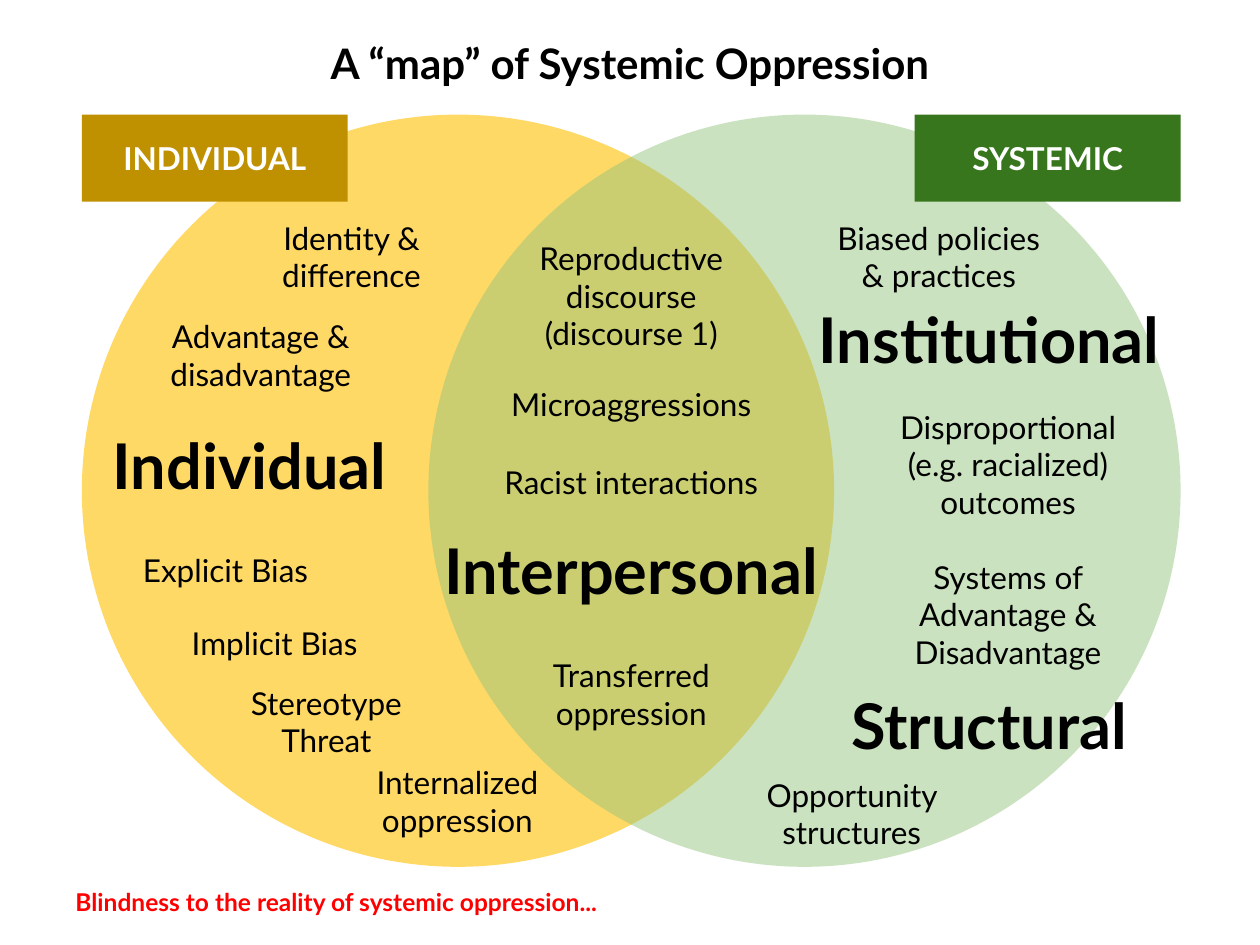
from lxml.etree import SubElement
from pptx import Presentation
from pptx.dml.color import RGBColor
from pptx.enum.shapes import MSO_SHAPE as SHAPE
from pptx.enum.text import MSO_ANCHOR as ANCHOR, MSO_AUTO_SIZE as FIT, PP_ALIGN as ALIGN
from pptx.oxml.ns import qn
from pptx.util import Inches, Pt

FONT = "Lato"
TITLE = "A “map” of Systemic Oppression"
FOOTER = "Blindness to the reality of systemic oppression..."
LEFT, RIGHT, TOP = 0.65, 9.37, 0.91
DIAMETER, TAG_W, TAG_H = 5.97, 2.11, 0.69
ROW_H, NARROW, MIDDLE, WIDE = 0.51, 1.92, 2.54, 3.7

CIRCLES = [(LEFT, "FFD966", 100), (RIGHT - DIAMETER, "93C47D", 49)]
TAGS = [("INDIVIDUAL", LEFT, "BF9000"), ("SYSTEMIC", RIGHT - TAG_W, "38761D")]
# label groups: width, size, bold, then (text, centre x, top)
LABELS = [
    (NARROW, 18, False, [
        ("Identity & difference", 2.79, 1.78),
        ("Advantage & disadvantage", 2.07, 2.56),
        ("Explicit Bias", 1.79, 4.27),
        ("Implicit Bias", 2.18, 4.85),
        ("Stereotype Threat", 2.59, 5.47),
        ("Internalized oppression", 3.63, 6.1),
        ("Reproductive discourse (discourse 1)", 5.01, 2.09),
        ("Biased policies & practices", 7.45, 1.78),
        ("Disproportional (e.g. racialized) outcomes", 8, 3.43),
        ("Systems of Advantage & Disadvantage", 8, 4.62),
        ("Opportunity structures", 6.76, 6.2),
    ]),
    (MIDDLE, 18, False, [
        ("Microaggressions", 5.01, 2.95),
        ("Racist interactions", 5.01, 3.57),
        ("Transferred oppression", 5.01, 5.25),
    ]),
    (WIDE, 36, True, [
        ("Individual", 1.98, 3.43),
        ("Interpersonal", 5.01, 4.26),
        ("Institutional", 7.85, 2.43),
        ("Structural", 7.85, 5.49),
    ]),
]


def rgb(value):
    """Turn a hex string into a colour."""
    return RGBColor.from_string(value)


def box(*lengths):
    """Turn left, top, width and height in inches into lengths."""
    return [Inches(n) for n in lengths]


def write(s, text, size, color="000000", bold=False, align=ALIGN.CENTER):
    """Put one formatted paragraph in a shape."""
    tf = s.text_frame
    tf.text = text
    tf.word_wrap = True
    tf.auto_size = FIT.NONE
    tf.vertical_anchor = ANCHOR.MIDDLE
    tf.margin_left = tf.margin_right = tf.margin_top = tf.margin_bottom = Inches(0.1)
    p = tf.paragraphs[0]
    p.alignment = align
    p.font.name, p.font.size, p.font.bold = FONT, Pt(size), bold
    p.font.color.rgb = rgb(color)


def add_block(slide, kind, place, color, opacity=100):
    """Add a plain filled shape without an outline."""
    s = slide.shapes.add_shape(kind, *box(*place))
    s.shadow.inherit = False
    s.line.fill.background()
    s.fill.solid()
    s.fill.fore_color.rgb = rgb(color)
    if opacity < 100:
        clr = s._element.spPr.find(qn("a:solidFill"))[0]
        SubElement(clr, qn("a:alpha"), val=str(opacity * 1000))
    return s


def main():
    """Build the slide and save it."""
    prs = Presentation()
    prs.slide_width, prs.slide_height = Inches(10), Inches(7.5)
    slide = prs.slides.add_slide(prs.slide_layouts[5])
    title = slide.shapes.title
    title.left, title.top, title.width, title.height = box(0.83, 0.08, 8.34, 0.83)
    write(title, TITLE, 24, bold=True)

    for x, color, opacity in CIRCLES:
        add_block(slide, SHAPE.OVAL, (x, TOP, DIAMETER, DIAMETER), color, opacity)
    for text, x, color in TAGS:
        s = add_block(slide, SHAPE.RECTANGLE, (x, TOP, TAG_W, TAG_H), color)
        write(s, text, 18, "FFFFFF", True)
    for width, size, bold, labels in LABELS:
        for text, center, top in labels:
            s = slide.shapes.add_textbox(*box(center - width / 2, top, width, ROW_H))
            write(s, text, size, bold=bold)
    s = slide.shapes.add_textbox(*box(0.5, TOP + DIAMETER, 7.71, 0.55))
    write(s, FOOTER, 14, "FF0000", True, ALIGN.LEFT)
    prs.save("out.pptx")


if __name__ == "__main__":
    main()
